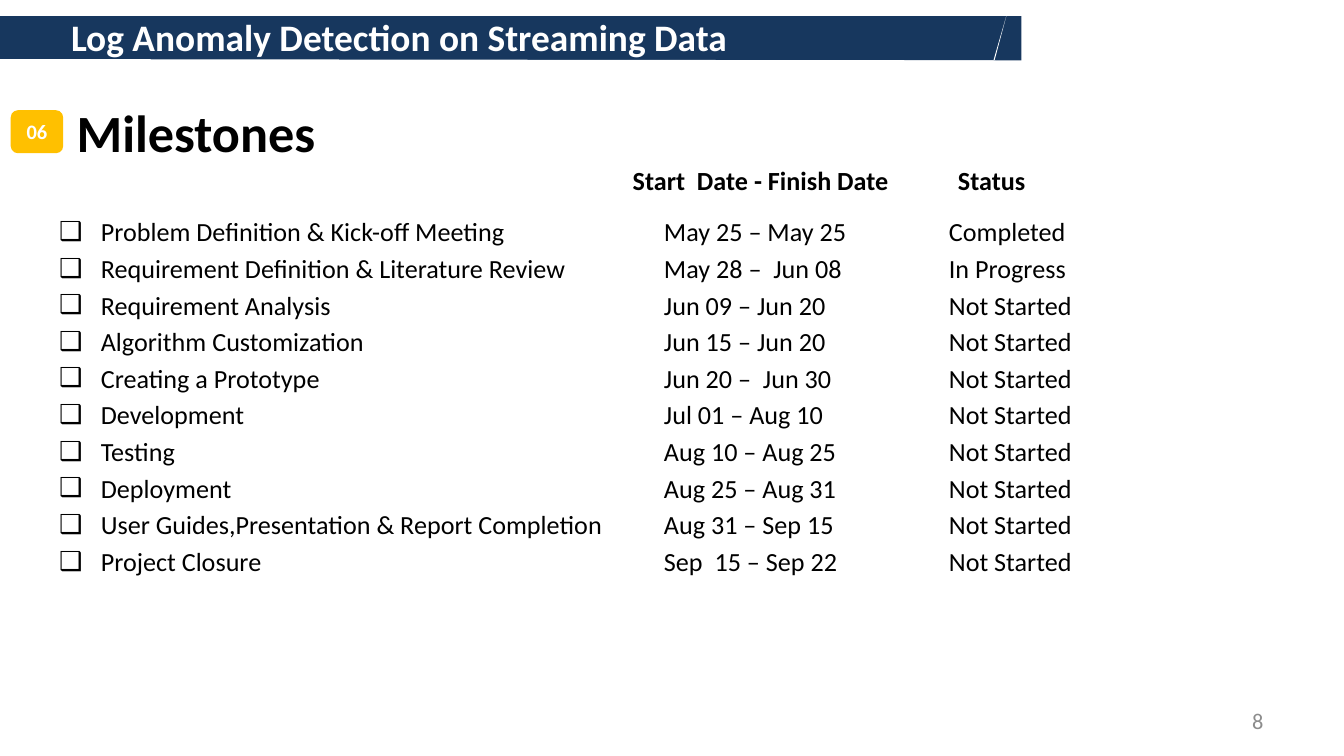
import lxml.etree
import pptx
import pptx.dml.color
import pptx.enum.shapes
import pptx.enum.text
import pptx.oxml.ns
import pptx.util

CELL = pptx.util.Inches(0.1)  # the slide is a grid of 100 columns by 56.25 rows
COLS, ROWS = 100, 56.25
HUES = {"navy": "17375E", "gold": "FFC000", "white": "FFFFFF",
        "black": "000000", "grey": "8C8C8C"}
FONT = "Calibri"
ALIGN = pptx.enum.text.PP_ALIGN
ANCHOR = pptx.enum.text.MSO_ANCHOR
KIND = pptx.enum.shapes.MSO_SHAPE

TASKS = [
    ("Problem Definition & Kick-off Meeting", "May 25 – May 25", "Completed"),
    ("Requirement Definition & Literature Review", "May 28 –  Jun 08", "In Progress"),
    ("Requirement Analysis", "Jun 09 – Jun 20", "Not Started"),
    ("Algorithm Customization", "Jun 15 – Jun 20", "Not Started"),
    ("Creating a Prototype", "Jun 20 –  Jun 30", "Not Started"),
    ("Development", "Jul 01 – Aug 10", "Not Started"),
    ("Testing", "Aug 10 – Aug 25", "Not Started"),
    ("Deployment", "Aug 25 – Aug 31", "Not Started"),
    ("User Guides,Presentation & Report Completion", "Aug 31 – Sep 15", "Not Started"),
    ("Project Closure", "Sep  15 – Sep 22", "Not Started"),
]


def grid(*cells):
    return [round(n * CELL) for n in cells]


def color(name):
    return pptx.dml.color.RGBColor.from_string(HUES[name])


def paint(shape, hue):
    shape.shadow.inherit = False
    shape.fill.solid()
    shape.fill.fore_color.rgb = color(hue)
    shape.line.fill.background()


def place(shape, box):
    shape.left, shape.top, shape.width, shape.height = grid(*box)


def style(para, size, hue, bold=False, align=ALIGN.LEFT):
    para.alignment = align
    for run in para.runs:
        run.font.name = FONT
        run.font.size = pptx.util.Pt(size)
        run.font.bold = bold
        run.font.color.rgb = color(hue)


def write(shape, text, size, hue, bold=True, align=ALIGN.LEFT, anchor=ANCHOR.TOP):
    frame = shape.text_frame
    frame.text = text
    frame.word_wrap = True
    frame.auto_size = pptx.enum.text.MSO_AUTO_SIZE.NONE
    frame.vertical_anchor = anchor
    style(frame.paragraphs[0], size, hue, bold, align)


def label(slide, box, *args, **kwargs):
    write(slide.shapes.add_textbox(*grid(*box)), *args, **kwargs)


def banner(slide, box):
    left, top, wide, high = box
    base = top + high
    bar = slide.shapes.add_shape(KIND.RECTANGLE, *grid(*box))
    paint(bar, "navy")

    # White page area whose slanted edge cuts a thin line through the bar
    edge = left + wide - 1.1
    pen = slide.shapes.build_freeform(*grid(edge, top - 0.1))
    pen.add_line_segments([tuple(grid(*spot)) for spot in (
        (edge - 16, ROWS), (left, ROWS), (left, base - 0.1),
        (edge - 0.8, base), (edge - 0.9, base))])
    page = pen.convert_to_shape()
    paint(page, "white")

    tree = bar._element.getparent()
    for rank, shape in enumerate((bar, page), start=2):
        tree.insert(rank, shape._element)

    label(slide, (left + 4.3, top - 0.6, 80.1, 4.4),
          "Log Anomaly Detection on Streaming Data", 20, "white")


def heading(slide, box):
    left, top, wide, high = box
    title = slide.shapes.title
    place(title, (left + 3.9, top, wide - 3.9, high))
    write(title, "Milestones", 28, "black")
    title.text_frame.paragraphs[0].line_spacing = pptx.util.Pt(35)

    badge = slide.shapes.add_shape(KIND.ROUNDED_RECTANGLE,
                                   *grid(left, top + 1.4, 3.9, 3.2))
    paint(badge, "gold")
    write(badge, "06", 11, "white", align=ALIGN.CENTER, anchor=ANCHOR.MIDDLE)
    badge.text_frame.word_wrap = False


def bullet(para, tabs):
    """Give a paragraph a hanging box bullet and tab stops at the given columns."""
    para.space_before = pptx.util.Pt(0)
    para.space_after = pptx.util.Pt(2.8)
    props = para._p.get_or_add_pPr()
    indent, hang = grid(8.1, -3.1)
    props.set("marL", str(indent))
    props.set("indent", str(hang))
    name = pptx.oxml.ns.qn
    lxml.etree.SubElement(props, name("a:buChar"), char="❑")
    stops = lxml.etree.SubElement(props, name("a:tabLst"))
    for stop in grid(*tabs):
        lxml.etree.SubElement(stops, name("a:tab"), pos=str(stop), algn="l")


def plan(slide, box):
    left, top, wide, high = box
    dates, status = 50, 71.2
    label(slide, (left + dates - 2.3, top, 22.7, 3.4),
          "Start  Date - Finish Date", 14, "black")
    label(slide, (left + status + 0.7, top, 7, 3.4), "Status", 14, "black")

    body = slide.placeholders[1]
    place(body, (left, top + 3.8, wide, high - 3.8))
    frame = body.text_frame
    frame.text = "\n".join("\t".join(task) for task in TASKS)
    frame.auto_size = pptx.enum.text.MSO_AUTO_SIZE.NONE
    for para in frame.paragraphs:
        para.level = 1
        style(para, 14, "black")
        bullet(para, (dates, status))


def main():
    deck = pptx.Presentation()
    deck.slide_width, deck.slide_height = grid(COLS, ROWS)
    slide = deck.slides.add_slide(deck.slide_layouts[1])
    banner(slide, (0, 1.2, 76, 3.3))
    heading(slide, (0.8, 6.8, 49.7, 5.7))
    plan(slide, (-1.6, 11.75, COLS, 45.25))
    label(slide, (71.7, 52.15, 23.3, 3), "8", 12, "grey", bold=False,
          align=ALIGN.RIGHT, anchor=ANCHOR.MIDDLE)
    deck.save("out.pptx")


if __name__ == "__main__":
    main()
